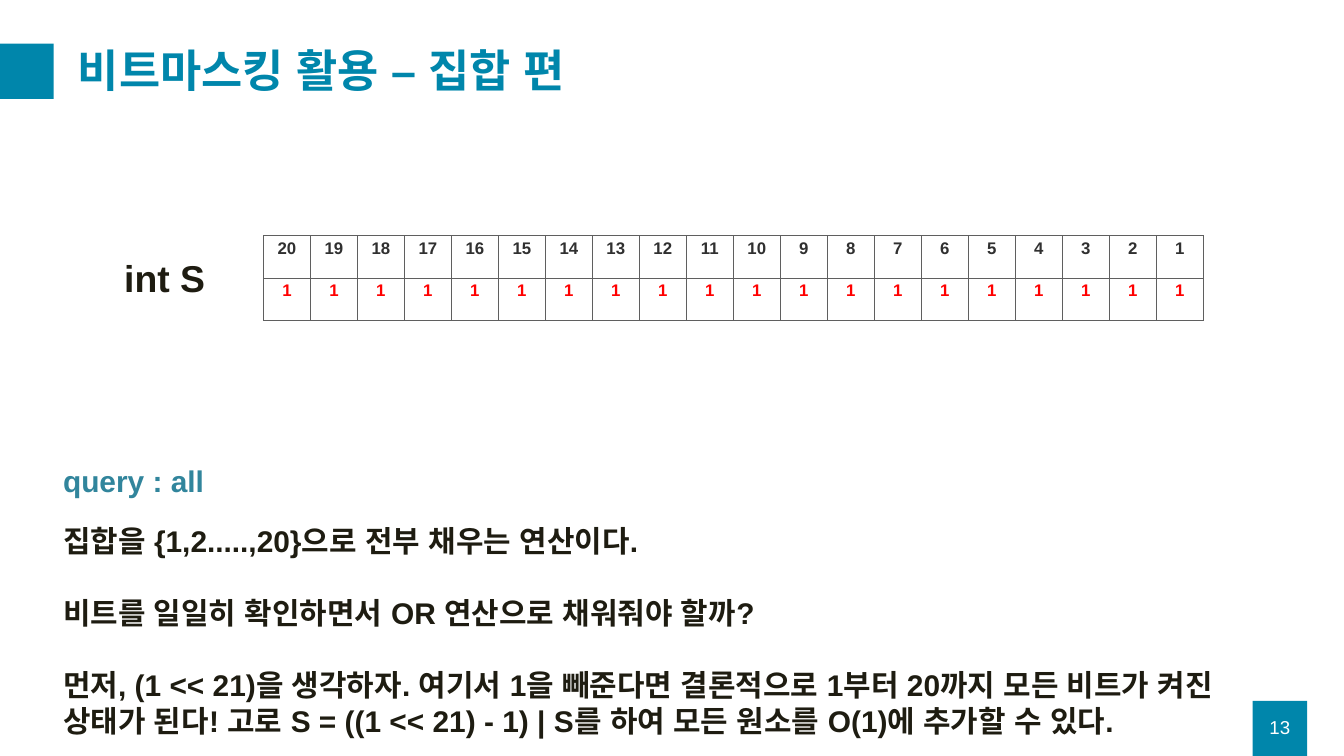
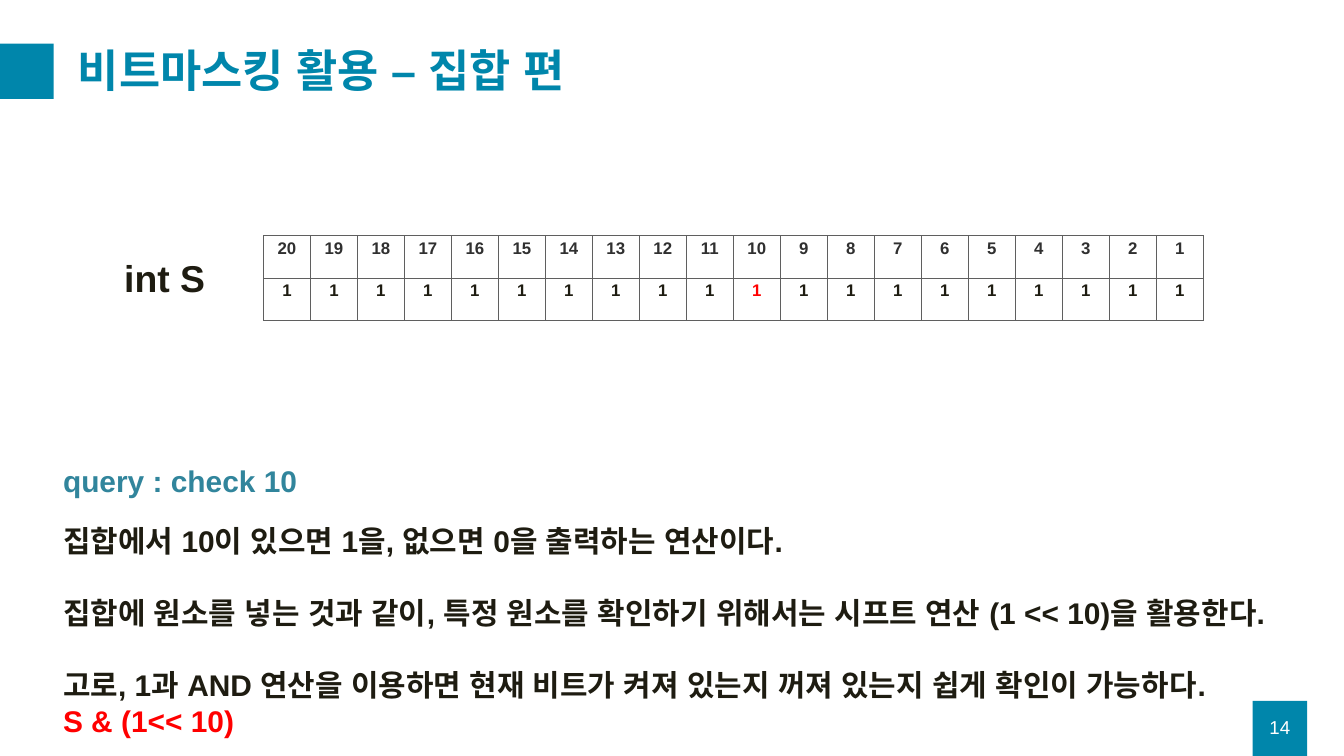
from collections import namedtuple
from dataclasses import dataclass

from lxml.etree import SubElement
from pptx import Presentation
from pptx.dml.color import RGBColor
from pptx.enum.shapes import MSO_SHAPE
from pptx.enum.text import MSO_ANCHOR, MSO_AUTO_SIZE, PP_ALIGN
from pptx.oxml.ns import qn
from pptx.util import Inches, Pt

Box = namedtuple("Box", "left top width height")


@dataclass(frozen=True)
class Theme:
    font: str = "Arial"
    accent: str = "0086AB"
    query: str = "31859C"
    ink: str = "1E1C11"
    index: str = "303030"
    grid: str = "5F5F5F"
    highlight: str = "FF0000"
    paper: str = "FFFFFF"
    title_size: int = 48
    label_size: int = 40
    body_size: int = 32
    page_size: int = 20
    bit_size: int = 18
    grid_width: float = 1
    blank_line: float = 38.5


THEME = Theme()
TITLE = "비트마스킹 활용 – 집합 편"
BIT_COUNT = 20
MARKER_SIZE = (0.81, 0.82)

TITLE_BOX = Box(1.06, 0.5, 18.25, 1.18)
TITLE_MARKER = Box(-0.01, 0.65, *MARKER_SIZE)
PAGE_MARKER = Box(18.64, 10.43, *MARKER_SIZE)
BITSET_BOX = Box(1.75, 3.51, 16.16, 1.26)
QUERY_BOX = Box(0.84, 6.83, 18.6, 4.23)

# Each explanation line: text, colour, whether a blank line's gap precedes it.
QUERIES = [
    {
        "page": 13,
        "query": "query : all",
        "highlighted": range(1, BIT_COUNT + 1),
        "explanation_width": 18.6,
        "explanation": [
            ("집합을 {1,2.....,20}으로 전부 채우는 연산이다.", THEME.ink, False),
            ("비트를 일일히 확인하면서 OR 연산으로 채워줘야 할까?", THEME.ink, True),
            ("먼저, (1 << 21)을 생각하자. 여기서 1을 빼준다면 결론적으로 1부터 20까지 "
             "모든 비트가 켜진 상태가 된다! 고로 S = ((1 << 21) - 1) | S를 하여 "
             "모든 원소를 O(1)에 추가할 수 있다.", THEME.ink, True),
        ],
    },
    {
        "page": 14,
        "query": "query : check 10",
        "highlighted": [10],
        "explanation_width": 19,
        "explanation": [
            ("집합에서 10이 있으면 1을, 없으면 0을 출력하는 연산이다.", THEME.ink, False),
            ("집합에 원소를 넣는 것과 같이, 특정 원소를 확인하기 위해서는 "
             "시프트 연산 (1 << 10)을 활용한다.", THEME.ink, True),
            ("고로, 1과 AND 연산을 이용하면 현재 비트가 켜져 있는지 꺼져 있는지 "
             "쉽게 확인이 가능하다.", THEME.ink, True),
            ("S & (1<< 10)", THEME.highlight, False),
        ],
    },
]


def emu(box):
    return [Inches(length) for length in box]


def add_run(paragraph, text, size, color, bold=True):
    run = paragraph.add_run()
    run.text = text
    run.font.size = Pt(size)
    run.font.bold = bold
    run.font.color.rgb = RGBColor.from_string(color)
    run.font.name = THEME.font
    SubElement(run.font._element, qn("a:ea"), typeface=THEME.font)


def add_text_frame(slide, box, grow=True):
    frame = slide.shapes.add_textbox(*emu(box)).text_frame
    frame.word_wrap = True
    frame.auto_size = MSO_AUTO_SIZE.SHAPE_TO_FIT_TEXT if grow else MSO_AUTO_SIZE.NONE
    return frame


def add_marker(slide, box):
    marker = slide.shapes.add_shape(MSO_SHAPE.RECTANGLE, *emu(box))
    marker.shadow.inherit = False
    marker.fill.solid()
    marker.fill.fore_color.rgb = RGBColor.from_string(THEME.accent)
    marker.line.fill.background()


def add_title(slide, box):
    title = slide.shapes.title
    title.left, title.top, title.width, title.height = emu(box)
    frame = title.text_frame
    frame.word_wrap = True
    frame.auto_size = MSO_AUTO_SIZE.NONE
    frame.vertical_anchor = MSO_ANCHOR.MIDDLE
    heading = frame.paragraphs[0]
    heading.alignment = PP_ALIGN.LEFT
    heading.line_spacing = 0.9
    add_run(heading, TITLE, THEME.title_size, THEME.accent)


def add_page_number(slide, box, page):
    add_marker(slide, box)
    frame = add_text_frame(slide, Box(box.left, box.top + 0.09, box.width, 0.6), grow=False)
    frame.vertical_anchor = MSO_ANCHOR.MIDDLE
    number = frame.paragraphs[0]
    number.alignment = PP_ALIGN.CENTER
    add_run(number, str(page), THEME.page_size, THEME.paper, bold=False)


def add_borders(cell):
    properties = cell._tc.get_or_add_tcPr()
    for position, side in enumerate(("a:lnL", "a:lnR", "a:lnT", "a:lnB")):
        border = SubElement(properties, qn(side), w=str(Pt(THEME.grid_width)))
        fill = SubElement(border, qn("a:solidFill"))
        SubElement(fill, qn("a:srgbClr"), val=THEME.grid)
        properties.insert(position, border)


def fill_bit_cell(cell, text, color):
    cell.fill.solid()
    cell.fill.fore_color.rgb = RGBColor.from_string(THEME.paper)
    add_borders(cell)
    paragraph = cell.text_frame.paragraphs[0]
    paragraph.alignment = PP_ALIGN.CENTER
    add_run(paragraph, text, THEME.bit_size, color)


def add_bitset(slide, box, highlighted):
    """Label the integer and list its bits from the highest down."""
    label = add_text_frame(slide, Box(box.left, box.top + 0.24, 1.71, 0.77))
    add_run(label.paragraphs[0], "int S", THEME.label_size, THEME.ink)

    label_span = 2.17
    bits_box = Box(box.left + label_span, box.top, box.width - label_span, box.height)
    bits = slide.shapes.add_table(2, BIT_COUNT, *emu(bits_box)).table
    bits.first_row = bits.horz_banding = False
    for column in bits.columns:
        column.width = Inches(bits_box.width / BIT_COUNT)
    for column, bit in enumerate(range(BIT_COUNT, 0, -1)):
        bit_color = THEME.highlight if bit in highlighted else THEME.ink
        fill_bit_cell(bits.cell(0, column), str(bit), THEME.index)
        fill_bit_cell(bits.cell(1, column), "1", bit_color)


def add_query(slide, box, query, explanation, width):
    body_offset = 0.9
    body = add_text_frame(
        slide, Box(box.left, box.top + body_offset, width, box.height - body_offset))
    for position, (text, color, gap_before) in enumerate(explanation):
        paragraph = body.add_paragraph() if position else body.paragraphs[0]
        if gap_before:
            paragraph.space_before = Pt(THEME.blank_line)
        add_run(paragraph, text, THEME.body_size, color)

    heading = add_text_frame(slide, Box(box.left, box.top, 5.8, 0.64))
    add_run(heading.paragraphs[0], query, THEME.body_size, THEME.query)


def add_query_slide(deck, content):
    slide = deck.slides.add_slide(deck.slide_layouts[5])
    add_marker(slide, TITLE_MARKER)
    add_title(slide, TITLE_BOX)
    add_page_number(slide, PAGE_MARKER, content["page"])
    add_bitset(slide, BITSET_BOX, content["highlighted"])
    add_query(slide, QUERY_BOX, content["query"],
              content["explanation"], content["explanation_width"])


def main():
    deck = Presentation()
    deck.slide_width, deck.slide_height = Inches(20), Inches(11.25)
    for content in QUERIES:
        add_query_slide(deck, content)
    deck.save("out.pptx")


if __name__ == "__main__":
    main()
